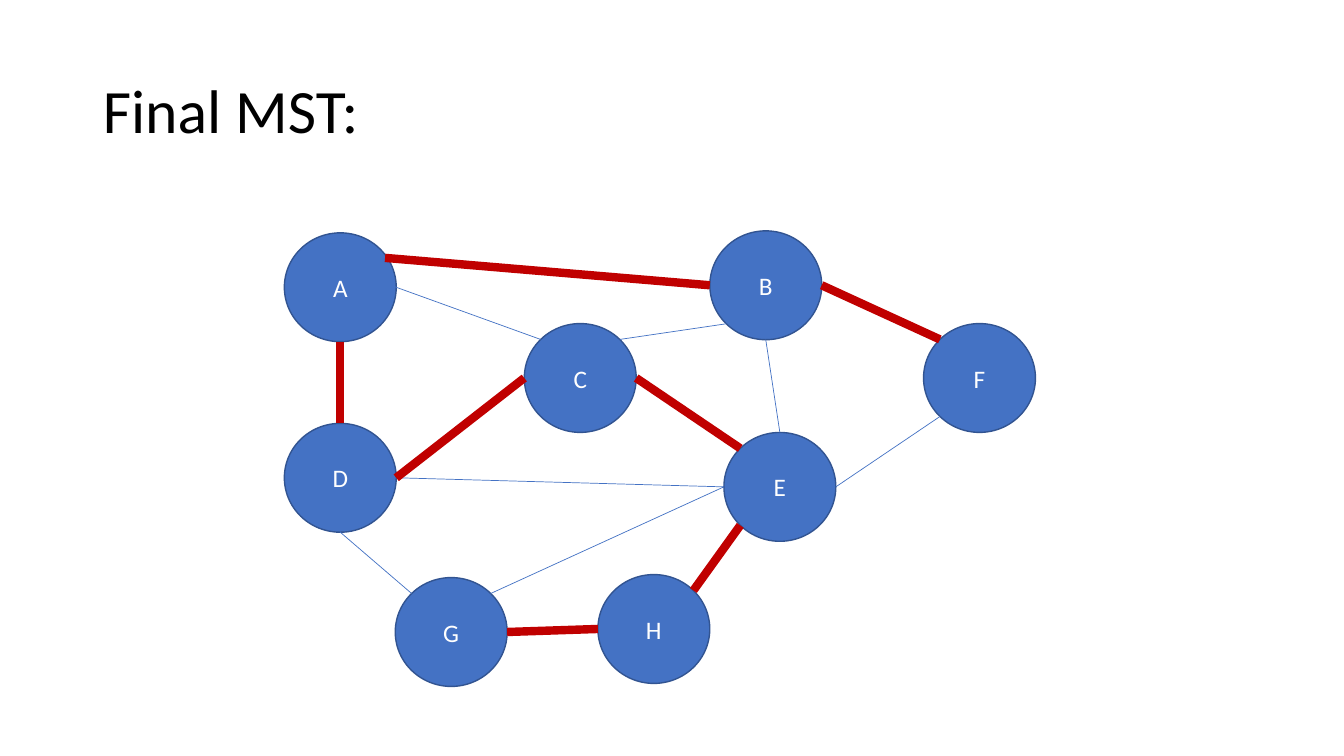
from lxml import etree
from pptx import Presentation
from pptx import util as u
from pptx.dml.color import RGBColor
from pptx.enum import shapes, text
from pptx.oxml.ns import qn

BLUE, RED = "4472C4", "C00000"
NODE_W, NODE_H = 1.11, 1.08
NODES = {
    "A": (0, 0.02), "D": (0, 1.91), "G": (1.1, 3.44), "C": (2.38, 0.92),
    "B": (4.22, 0), "E": (4.36, 2), "H": (3.11, 3.41), "F": (6.34, 0.92),
}
SIDES = {
    "top": (0.5, 0), "bottom": (0.5, 1), "left": (0, 0.5), "right": (1, 0.5),
    "top left": (0.146, 0.146), "top right": (0.854, 0.146),
    "bottom left": (0.146, 0.854), "bottom right": (0.854, 0.854),
    "upper right": (0.9, 0.23),
}
OTHER_EDGES = [
    ("A", "right", "C", "top left"),
    ("D", "bottom", "G", "top left"),
    ("E", "right", "F", "bottom left"),
    ("B", "bottom", "E", "top"),
    ("C", "top right", "B", "bottom left"),
    ("D", "right", "E", "left"),
    ("G", "top right", "E", "left"),
]
TREE_EDGES = [
    ("A", "upper right", "B", "left"),
    ("A", "bottom", "D", "top"),
    ("G", "right", "H", "left"),
    ("H", "top right", "E", "bottom left"),
    ("B", "right", "F", "top left"),
    ("D", "right", "C", "left"),
    ("C", "right", "E", "top left"),
]


def rgb(value):
    return RGBColor.from_string(value)


def write(tf, content, size, color, align, **spacing):
    tf.text = content
    tf.vertical_anchor = text.MSO_ANCHOR.MIDDLE
    p = tf.paragraphs[0]
    for name, value in {"alignment": align, **spacing}.items():
        setattr(p, name, value)
    font = p.runs[0].font
    for name, value in {"name": "Calibri", "size": u.Pt(size)}.items():
        setattr(font, name, value)
    font.color.rgb = rgb(color)


def add_title(slide, left, top, width, height):
    sp = slide.shapes.title
    box = {"left": left, "top": top, "width": width, "height": height}
    for name, value in box.items():
        setattr(sp, name, u.Inches(value))
    tf = sp.text_frame
    tf.word_wrap = True
    tf.auto_size = text.MSO_AUTO_SIZE.NONE
    write(tf, "Final MST:", 44, "000000", text.PP_ALIGN.LEFT, line_spacing=0.9)


def add_node(slide, label, left, top):
    box = [u.Inches(v) for v in (left, top, NODE_W, NODE_H)]
    sp = slide.shapes.add_shape(shapes.MSO_SHAPE.OVAL, *box)
    sp.shadow.inherit = False
    sp.fill.solid()
    sp.fill.fore_color.rgb = rgb(BLUE)
    sp.line.color.rgb = rgb("325491")
    sp.line.width = u.Pt(1)
    write(sp.text_frame, label, 18, "FFFFFF", text.PP_ALIGN.CENTER)


def add_edge(slide, start, end, color, width):
    points = [u.Inches(v) for v in (*start, *end)]
    line = slide.shapes.add_connector(shapes.MSO_CONNECTOR.STRAIGHT, *points)
    line.line.color.rgb = rgb(color)
    line.line.width = u.Pt(width)
    etree.SubElement(line._element.spPr, qn("a:effectLst"))


def add_graph(slide, left, top):
    def site(node, side):
        (x, y), (dx, dy) = NODES[node], SIDES[side]
        return left + x + dx * NODE_W, top + y + dy * NODE_H

    for label, (x, y) in NODES.items():
        add_node(slide, label, left + x, top + y)
    for edges, color, width in ((OTHER_EDGES, BLUE, 0.5), (TREE_EDGES, RED, 6)):
        for a, a_side, b, b_side in edges:
            add_edge(slide, site(a, a_side), site(b, b_side), color, width)


def main():
    prs = Presentation()
    prs.slide_width, prs.slide_height = u.Inches(13.33), u.Inches(7.5)
    slide = prs.slides.add_slide(prs.slide_layouts.get_by_name("Title Only"))
    add_title(slide, 0.92, 0.4, 11.5, 1.45)
    add_graph(slide, 2.82, 2.29)
    prs.save("out.pptx")


if __name__ == "__main__":
    main()
